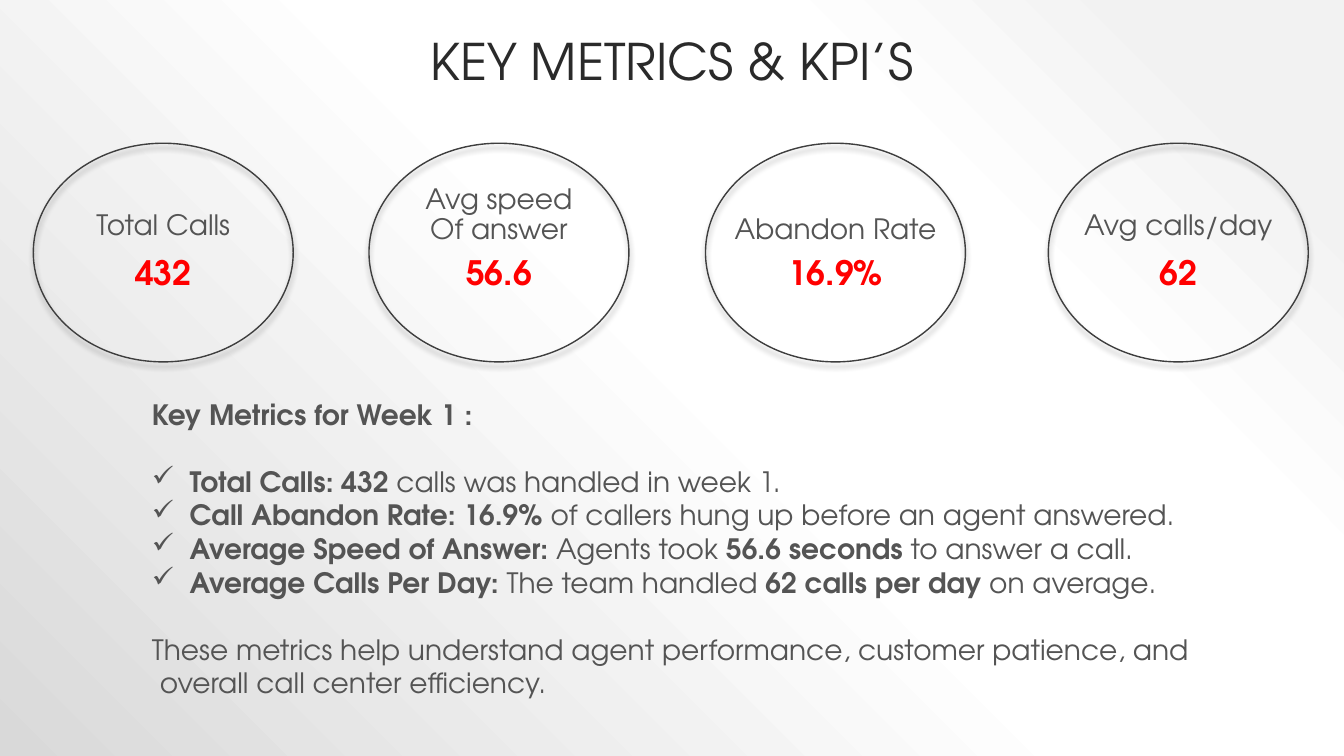
import lxml.etree
import pptx
import pptx.dml.color
import pptx.enum.shapes
import pptx.enum.text
import pptx.oxml
import pptx.oxml.ns
import pptx.util
from pptx.util import Cm

FONT = "TeX Gyre Adventor"
COLORS = {"title": "2A2A2A", "body": "545454", "value": "FF0000",
          "outline": "3E3E3E", "shadow": "000000"}
BACKGROUND_STOPS = [(10, "F2F2F2"), (28, "FFFFFF"), (48, "FFFFFF"), (100, "D9D9D9")]
NAMESPACE = pptx.oxml.ns.nsdecls("a")
ALIGN = pptx.enum.text.PP_ALIGN
ANCHOR = pptx.enum.text.MSO_ANCHOR

# Each metric: left, label lines, label width and drop, value, value width (cm)
METRICS = [
    (0.84, ["Total Calls"], 3.96, 1.6, "432", 1.96),
    (9.3, ["Avg speed", "Of answer"], 4.29, 0.94, "56.6", 2.18),
    (17.78, ["Abandon Rate"], 5.66, 1.7, "16.9%", 2.92),
    (26.42, ["Avg calls/day"], 5.28, 1.6, "62", 1.47),
]
OVAL_TOP, OVAL_WIDTH, OVAL_HEIGHT = 3.61, 6.55, 5.51

# Runs alternate between bold and regular, starting with bold
BULLETS = [
    ["Total Calls: 432", " calls was handled in week 1."],
    ["Call Abandon Rate: 16.9%", " of callers hung up before an agent answered."],
    ["Average Speed of Answer:", " Agents took ", "56.6 seconds", " to answer a call."],
    ["Average Calls Per Day:", " The team handled ", "62 calls per day", " on average."],
]
CLOSING = ["These metrics help understand agent performance, customer patience, and",
           "overall call center efficiency."]


def add_runs(paragraph, texts, size=20, color="body", bold=False):
    """Add runs whose weight alternates, starting with the given one."""
    for index, text in enumerate(texts):
        run = paragraph.add_run()
        run.text = text
        run.font.name = FONT
        run.font.size = pptx.util.Pt(size)
        run.font.bold = bold if index % 2 == 0 else not bold
        run.font.color.rgb = pptx.dml.color.RGBColor.from_string(COLORS[color])


def add_text(slide, lines, left, top, width, height, wrap=False,
             anchor=ANCHOR.TOP, **run_format):
    """Add a text box with one centred paragraph for each line."""
    shape = slide.shapes.add_textbox(Cm(left), Cm(top), Cm(width), Cm(height))
    frame = shape.text_frame
    frame.word_wrap = wrap
    frame.vertical_anchor = anchor
    for index, line in enumerate(lines):
        paragraph = frame.add_paragraph() if index else frame.paragraphs[0]
        paragraph.alignment = ALIGN.CENTER
        paragraph.line_spacing = 0.9
        add_runs(paragraph, [line], **run_format)


def set_background(slide):
    fill = slide.background.fill
    fill.gradient()
    stops = "".join(f'<a:gs pos="{position * 1000}"><a:srgbClr val="{color}"/></a:gs>'
                    for position, color in BACKGROUND_STOPS)
    gradient = pptx.oxml.parse_xml(
        f'<a:gradFill {NAMESPACE} rotWithShape="1"><a:gsLst>{stops}</a:gsLst>'
        '<a:path path="circle"><a:fillToRect l="100000" b="100000"/></a:path></a:gradFill>')
    current = slide.background._cSld.find(".//" + pptx.oxml.ns.qn("a:gradFill"))
    current.getparent().replace(current, gradient)


def add_oval(slide, left, top, width, height):
    oval = slide.shapes.add_shape(pptx.enum.shapes.MSO_SHAPE.OVAL,
                                  Cm(left), Cm(top), Cm(width), Cm(height))
    oval.fill.background()
    oval.line.color.rgb = pptx.dml.color.RGBColor.from_string(COLORS["outline"])
    oval.line.width = pptx.util.Pt(1)
    oval.shadow.inherit = False
    effects = oval._element.spPr.find(pptx.oxml.ns.qn("a:effectLst"))
    effects.append(pptx.oxml.parse_xml(
        f'<a:outerShdw {NAMESPACE} blurRad="50800" dist="38100" dir="5400000" '
        f'rotWithShape="0"><a:srgbClr val="{COLORS["shadow"]}">'
        '<a:alpha val="40000"/></a:srgbClr></a:outerShdw>'))


def add_metric(slide, left, top, width, height, lines, label_width, label_drop,
               value, value_width):
    add_oval(slide, left, top, width, height)
    center = left + width / 2
    add_text(slide, lines, center - label_width / 2, top + label_drop,
             label_width, 0.24 + 0.78 * len(lines))
    add_text(slide, [value], center - value_width / 2, top + 2.72,
             value_width, 1.17, size=24, color="value", bold=True)


def set_indent(paragraph, left, first=0, bullet=None):
    properties = paragraph._p.get_or_add_pPr()
    properties.set("marL", str(Cm(left)))
    properties.set("indent", str(Cm(first)))
    if bullet:
        element = lxml.etree.SubElement(properties, pptx.oxml.ns.qn("a:buChar"))
        element.set("char", bullet)


def add_summary(slide, left, top, width, height):
    shape = slide.shapes.add_textbox(Cm(left), Cm(top), Cm(width), Cm(height))
    frame = shape.text_frame
    frame.word_wrap = True
    add_runs(frame.paragraphs[0], ["Key Metrics for Week 1 :"], bold=True)
    for index, texts in enumerate(BULLETS):
        paragraph = frame.add_paragraph()
        set_indent(paragraph, 0.95, -0.95, "✓")
        if index == 0:
            paragraph.space_before = pptx.util.Pt(24)
        add_runs(paragraph, texts, bold=True)
    for index, line in enumerate(CLOSING):
        paragraph = frame.add_paragraph()
        if index == 0:
            paragraph.space_before = pptx.util.Pt(24)
        else:
            set_indent(paragraph, 0.2)
        add_runs(paragraph, [line])


def main():
    presentation = pptx.Presentation()
    presentation.slide_width = Cm(33.87)
    presentation.slide_height = Cm(19.05)
    slide = presentation.slides.add_slide(presentation.slide_layouts[6])
    set_background(slide)

    # Title
    add_text(slide, ["KEY METRICS & KPI’S"], 0, 0.64, 33.87, 1.78, wrap=True,
             anchor=ANCHOR.BOTTOM, size=36, color="title")

    # Row of metrics
    for left, *content in METRICS:
        add_metric(slide, left, OVAL_TOP, OVAL_WIDTH, OVAL_HEIGHT, *content)

    # Weekly summary
    add_summary(slide, 3.58, 9.88, 28.4, 8.86)
    presentation.save("out.pptx")


if __name__ == "__main__":
    main()
